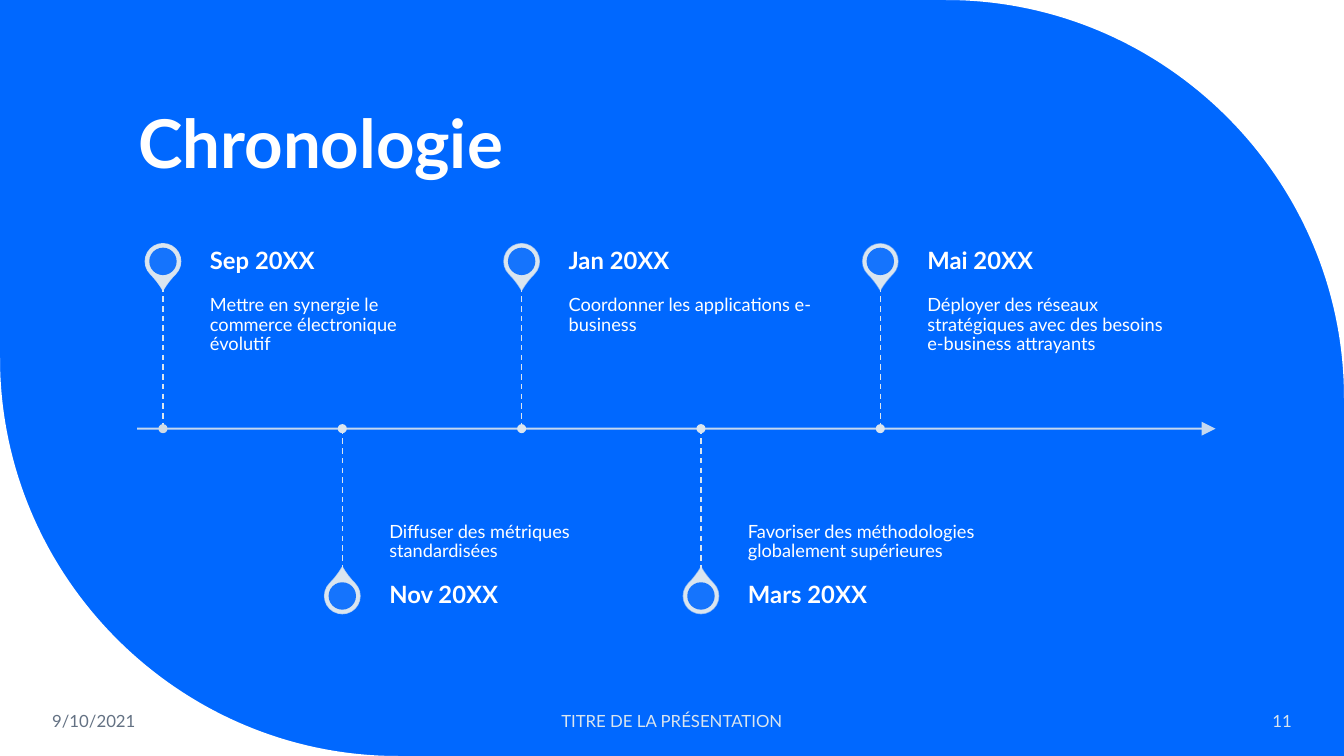
from dataclasses import dataclass

from pptx import Presentation
from pptx.dml.color import RGBColor
from pptx.enum.dml import MSO_LINE
from pptx.enum.shapes import MSO_CONNECTOR, MSO_SHAPE
from pptx.enum.text import MSO_ANCHOR, MSO_AUTO_SIZE, PP_ALIGN
from pptx.oxml.xmlchemy import OxmlElement
from pptx.util import Pt

WIDE, HIGH = 960, 540
BLUE, WHITE, PALE, GREY = "0068FF", "FFFFFF", "DAE5EF", "637183"
CURVE = 284.4           # radius of the white corners
BEND = 0.45 * CURVE     # from a corner's edge to the curve's handles
AXIS = 306.2            # height of the time line
START, STEP = 116.4, 128.1
STEM, PIN = 101.5, 119.5  # from the axis to the stem's end and the pin's centre
INDENT, TEXT_W, DATE_H = 33.6, 182.5, 36


@dataclass
class Event:
    date: str
    note: str
    alpha: int  # opacity of the pin's outline, in percent
    dot: str = PALE


EVENTS = [
    Event("Sep 20XX", "Mettre en synergie le commerce électronique\vévolutif", 90, "D0DBE4"),
    Event("Nov 20XX", "Diffuser des métriques standardisées", 80),
    Event("Jan 20XX", "Coordonner les applications e-business", 70),
    Event("Mars 20XX", "Favoriser des méthodologies globalement supérieures", 60),
    Event("Mai 20XX", "Déployer des réseaux stratégiques avec des besoins e-business attrayants", 50),
]


def color(code: str) -> RGBColor:
    return RGBColor.from_string(code)


def fade(shape, part: str, percent: int) -> None:
    """Set the opacity of a shape's fill or line, found by its tag."""
    for node in shape.element.xpath(f"./p:spPr/{part}//a:srgbClr"):
        alpha = OxmlElement("a:alpha")
        alpha.set("val", str(percent * 1000))
        node.append(alpha)


def paint(shape, fill: str) -> None:
    shape.shadow.inherit = False
    shape.fill.solid()
    shape.fill.fore_color.rgb = color(fill)
    shape.line.fill.background()


def put_text(shape, text: str, *, size: float, ink: str = WHITE, bold: bool = False,
             align=PP_ALIGN.LEFT, anchor=MSO_ANCHOR.MIDDLE, spacing: float = 1.0,
             insets: tuple = (7.2, 3.6, 7.2, 3.6)) -> None:
    frame = shape.text_frame
    frame.auto_size = MSO_AUTO_SIZE.NONE
    frame.word_wrap = True
    frame.vertical_anchor = anchor
    (frame.margin_left, frame.margin_top,
     frame.margin_right, frame.margin_bottom) = map(Pt, insets)
    para = frame.paragraphs[0]
    para.text = text
    para.alignment = align
    para.line_spacing = spacing
    for run in para.runs:
        font = run.font
        font.name, font.size, font.bold = "Lato", Pt(size), bold
        font.color.rgb = color(ink)


def add_text(slide, text: str, left: float, top: float, width: float, height: float,
             **style) -> None:
    box = slide.shapes.add_textbox(Pt(left), Pt(top), Pt(width), Pt(height))
    put_text(box, text, **style)


def add_line(slide, x1: float, y1: float, x2: float, y2: float, width: float):
    line = slide.shapes.add_connector(MSO_CONNECTOR.STRAIGHT, Pt(x1), Pt(y1), Pt(x2), Pt(y2))
    line.line.color.rgb = color(PALE)
    line.line.width = Pt(width)
    line.element.spPr.append(OxmlElement("a:effectLst"))
    return line


def add_round(slide, kind, x: float, y: float, size: float, fill: str):
    """Add a shape of equal sides around a centre."""
    shape = slide.shapes.add_shape(kind, Pt(x - size / 2), Pt(y - size / 2), Pt(size), Pt(size))
    paint(shape, fill)
    return shape


def add_corner(slide, x: float, y: float, side: int) -> None:
    """Fill a slide corner outside a quarter circle; side 1 opens to lower left, -1 to upper right."""
    curve = [(x - side * BEND, y), (x, y + side * BEND), (x, y + side * CURVE)]
    form = slide.shapes.build_freeform(Pt(x - side * CURVE), Pt(y))
    form.add_line_segments([(Pt(a), Pt(b)) for a, b in [*curve, (x, y)]], close=True)
    shape = form.convert_to_shape()
    paint(shape, WHITE)

    lines = shape.element.xpath(".//a:path/a:lnTo")[:3]
    bezier = OxmlElement("a:cubicBezTo")
    lines[0].addprevious(bezier)
    for line in lines:
        bezier.append(line[0])
        line.getparent().remove(line)


def add_axis(slide) -> None:
    axis = add_line(slide, 98, AXIS, 868.3, AXIS, 1.5)
    fade(axis, "a:ln", 90)
    arrow = OxmlElement("a:tailEnd")
    for key, value in {"type": "triangle", "w": "lg", "len": "lg"}.items():
        arrow.set(key, value)
    axis.element.xpath("./p:spPr/a:ln")[0].append(arrow)


def add_event(slide, event: Event, x: float, above: bool) -> None:
    side = -1 if above else 1
    pin_y, end = AXIS + side * PIN, AXIS + side * STEM

    pin = add_round(slide, MSO_SHAPE.TEAR, x, pin_y, 25.2, PALE)
    pin.adjustments[0] = 1.15
    pin.rotation = 135 if above else 315
    pin.line.color.rgb = color(PALE)
    pin.line.width = Pt(1)
    fade(pin, "a:ln", event.alpha)
    fade(add_round(slide, MSO_SHAPE.OVAL, x, pin_y, 19.6, BLUE), "a:solidFill", 90)

    left = x + INDENT
    add_text(slide, event.note, left, min(AXIS, end), TEXT_W, STEM, size=13, spacing=0.9,
             anchor=MSO_ANCHOR.TOP if above else MSO_ANCHOR.BOTTOM,
             insets=(0, 6.5, 6.5, 10) if above else (0, 10, 0, 6.5))
    add_text(slide, event.date, left, end - DATE_H if above else end, TEXT_W, DATE_H,
             size=17, bold=True, spacing=0.9, insets=(0, 0, 8.6, 0))

    stem = add_line(slide, x, min(AXIS, end), x, max(AXIS, end), 1)
    stem.line.dash_style = MSO_LINE.DASH
    add_round(slide, MSO_SHAPE.OVAL, x, AXIS, 6.5, event.dot)


def main() -> None:
    deck = Presentation()
    deck.slide_width, deck.slide_height = Pt(WIDE), Pt(HIGH)
    slide = deck.slides.add_slide(deck.slide_layouts[5])
    back = slide.background.fill
    back.solid()
    back.fore_color.rgb = color(BLUE)

    add_corner(slide, WIDE, 0, 1)
    add_corner(slide, 0, HIGH, -1)

    title = slide.shapes.title
    title.left, title.top, title.width, title.height = map(Pt, (91.5, 30.2, 769.7, 104.4))
    put_text(title, "Chronologie", size=48, bold=True, anchor=MSO_ANCHOR.BOTTOM, spacing=0.9)

    add_axis(slide)
    for i, event in enumerate(EVENTS):
        add_event(slide, event, START + i * STEP, above=i % 2 == 0)

    foot = {"top": 500.4, "height": 28.8, "size": 12}
    add_text(slide, "9/10/2021", left=30.2, width=134, ink=GREY, **foot)
    add_text(slide, "TITRE DE LA PRÉSENTATION", left=318, width=324, ink=PALE,
             align=PP_ALIGN.CENTER, **foot)
    add_text(slide, "11", left=799.5, width=130.3, ink=PALE, align=PP_ALIGN.RIGHT, **foot)

    deck.save("out.pptx")


if __name__ == "__main__":
    main()
